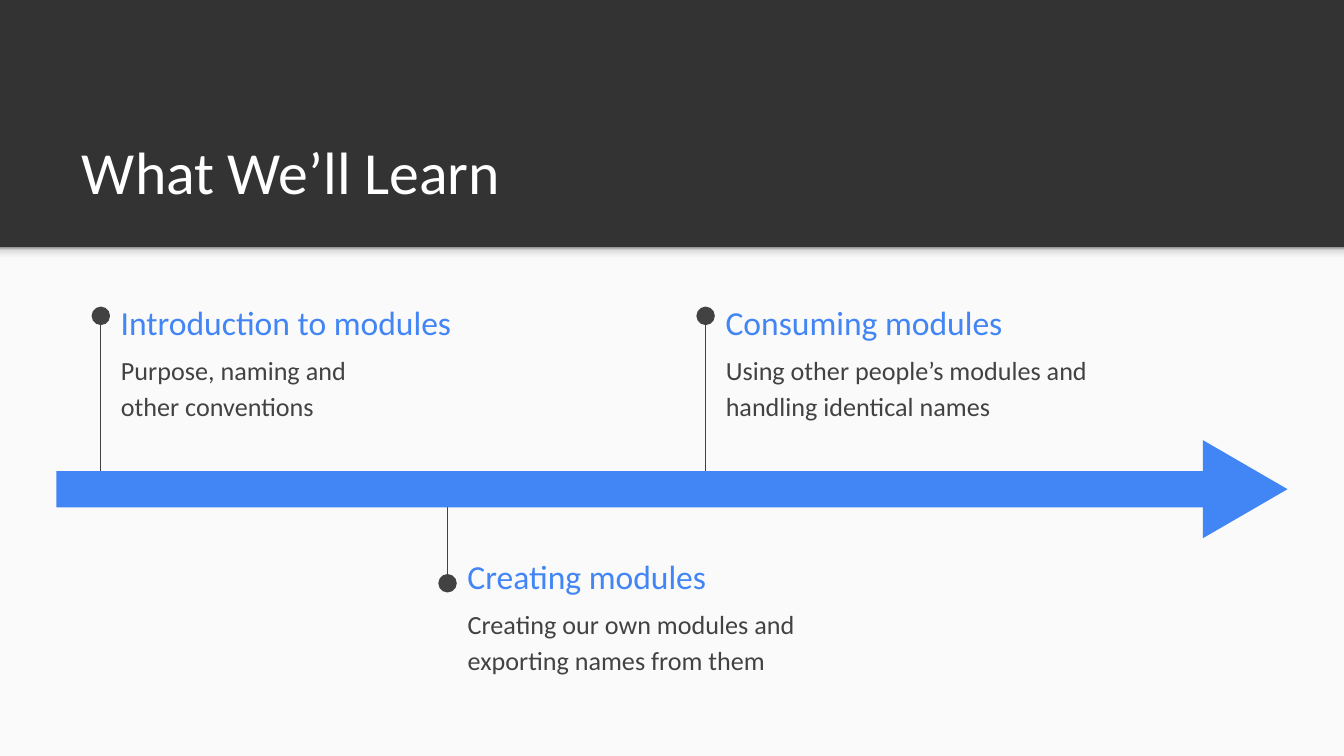
from lxml import etree
from pptx import Presentation
from pptx.dml.color import RGBColor
from pptx.enum.shapes import MSO_CONNECTOR, MSO_SHAPE
from pptx.enum.text import MSO_ANCHOR, MSO_AUTO_SIZE, PP_ALIGN
from pptx.oxml.ns import qn
from pptx.util import Inches, Pt

RECT, TRIANGLE = MSO_SHAPE.RECTANGLE, MSO_SHAPE.ISOSCELES_TRIANGLE
STRAIGHT = MSO_CONNECTOR.STRAIGHT
TOP, MIDDLE, BOTTOM = MSO_ANCHOR.TOP, MSO_ANCHOR.MIDDLE, MSO_ANCHOR.BOTTOM

TITLE = "What We’ll Learn"
MILESTONES = [
    dict(heading="Introduction to modules", detail="Purpose, naming and other conventions",
         x=0.75, dot=2.35, top=2.18, widths=(3.04, 1.98)),
    dict(heading="Creating modules", detail="Creating our own modules and exporting names from them",
         x=3.33, dot=4.34, top=4.07, widths=(3.45, 2.78)),
    dict(heading="Consuming modules", detail="Using other people’s modules and handling identical names",
         x=5.25, dot=2.35, top=2.18, widths=(2.62, 3.04)),
]
THEME = dict(font="Calibri", title=32, heading=18, detail=14,
             dark="333333", light="FAFAFA", white="FFFFFF", accent="4285F4", ink="424242")
SHADOW_STOPS = [(0, "F9F9F9"), (36, "F9F9F9"), (80, "DEDEDE"), (100, "999999")]
SLIDE_W = 10
SLIDE_H = SLIDE_W * 9 / 16
HEADER_H = 1.84
AXIS_Y = 3.64
BAR_H, HEAD_W, HEAD_H = 0.27, 0.73, 0.63
LABEL_GAP, DETAIL_DROP = 0.05, 0.32


def color(name):
    return RGBColor.from_string(THEME[name])


def place(sp, *box):
    sp.left, sp.top, sp.width, sp.height = map(Inches, box)


def write(sp, text, size, ink, anchor):
    tf = sp.text_frame
    tf.text = text
    tf.word_wrap = True
    tf.auto_size = MSO_AUTO_SIZE.NONE
    tf.vertical_anchor = anchor
    tf.margin_left = tf.margin_right = tf.margin_top = tf.margin_bottom = Inches(0.1)
    p = tf.paragraphs[0]
    p.alignment = PP_ALIGN.LEFT
    p.space_before = Pt(0)
    font = p.runs[0].font
    font.name, font.size, font.bold = THEME["font"], Pt(THEME[size]), False
    font.color.rgb = color(ink)
    return p


def add_block(s, kind, fill, *box):
    sp = s.shapes.add_shape(kind, *map(Inches, box))
    sp.shadow.inherit = False
    sp.line.fill.background()
    sp.fill.solid()
    sp.fill.fore_color.rgb = color(fill)
    return sp


def add_backdrop(s):
    s.background.fill.solid()
    s.background.fill.fore_color.rgb = color("dark")
    panel = add_block(s, RECT, "light", 0, HEADER_H, SLIDE_W, SLIDE_H - HEADER_H)
    shade = add_block(s, RECT, "light", 0, HEADER_H, SLIDE_W, 0.12)
    shade.fill.gradient()
    shade.fill.gradient_angle = 90
    stops = shade.element.spPr.find(qn("a:gradFill")).find(qn("a:gsLst"))
    for stop in list(stops):
        stops.remove(stop)
    for pos, rgb in SHADOW_STOPS:
        stop = etree.SubElement(stops, qn("a:gs"), pos=str(pos * 1000))
        etree.SubElement(stop, qn("a:srgbClr"), val=rgb)
    for i, sp in enumerate((panel, shade)):
        s.shapes.element.insert(2 + i, sp.element)


def add_milestone(s, body, item):
    x, top = item["x"], item["top"]
    pin = s.shapes.add_connector(STRAIGHT, *map(Inches, (x, AXIS_Y, x, item["dot"])))
    pin.line.color.rgb = color("ink")
    pin.line.width = Pt(0.75)
    spPr = pin.element.spPr
    etree.SubElement(spPr.find(qn("a:ln")), qn("a:tailEnd"), type="oval", w="lg", len="lg")
    etree.SubElement(spPr, qn("a:effectLst"))

    heading_w, detail_w = item["widths"]
    left = x + LABEL_GAP
    heading = s.shapes.add_textbox(*map(Inches, (left, top, heading_w, 0.43)))
    write(heading, item["heading"], "heading", "accent", MIDDLE)

    place(body, left, top + DETAIL_DROP, detail_w, 0.63)
    p = write(body, item["detail"], "detail", "ink", TOP)
    p.line_spacing = 1.15
    p.space_after = Pt(16)
    pPr = p._p.get_or_add_pPr()
    pPr.set("marL", "0")
    pPr.set("indent", "0")
    etree.SubElement(pPr, qn("a:buNone"))


def main():
    prs = Presentation()
    prs.slide_width, prs.slide_height = Inches(SLIDE_W), Inches(SLIDE_H)
    s = prs.slides.add_slide(prs.slide_layouts.get_by_name("Comparison"))
    add_backdrop(s)

    title = s.shapes.title
    place(title, 0.51, 0.8, 8.99, 0.84)
    write(title, TITLE, "title", "white", BOTTOM)

    bodies = [sp for sp in s.placeholders if sp.placeholder_format.idx]
    for body, item in zip(bodies, MILESTONES):
        add_milestone(s, body, item)
    for spare in bodies[len(MILESTONES):]:
        spare.element.getparent().remove(spare.element)

    head = add_block(s, TRIANGLE, "accent", 8.9, AXIS_Y - HEAD_H / 2, HEAD_W, HEAD_H)
    head.rotation = 90
    add_block(s, RECT, "accent", 0.42, AXIS_Y - BAR_H / 2, 8.64, BAR_H)
    prs.save("out.pptx")


if __name__ == "__main__":
    main()
